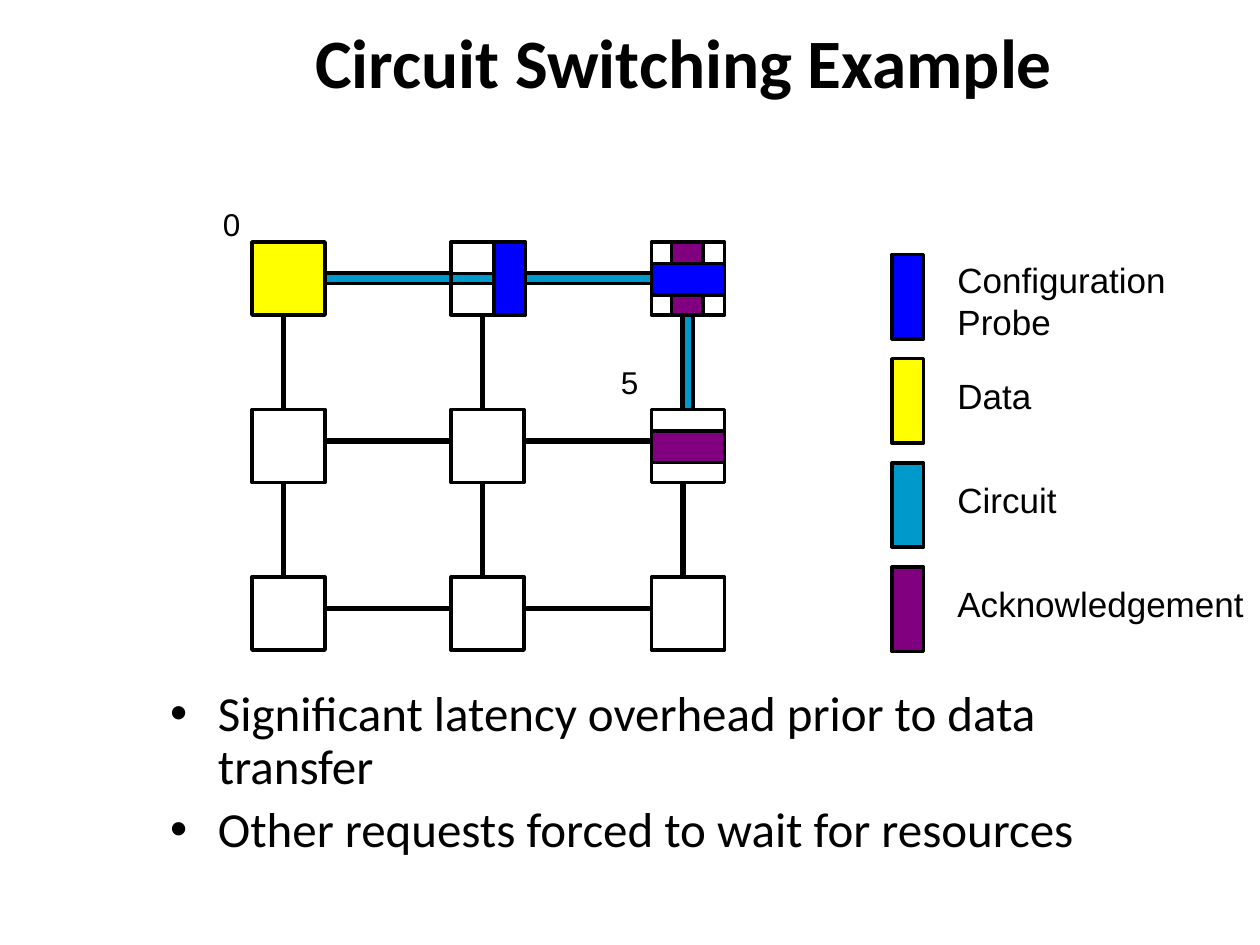
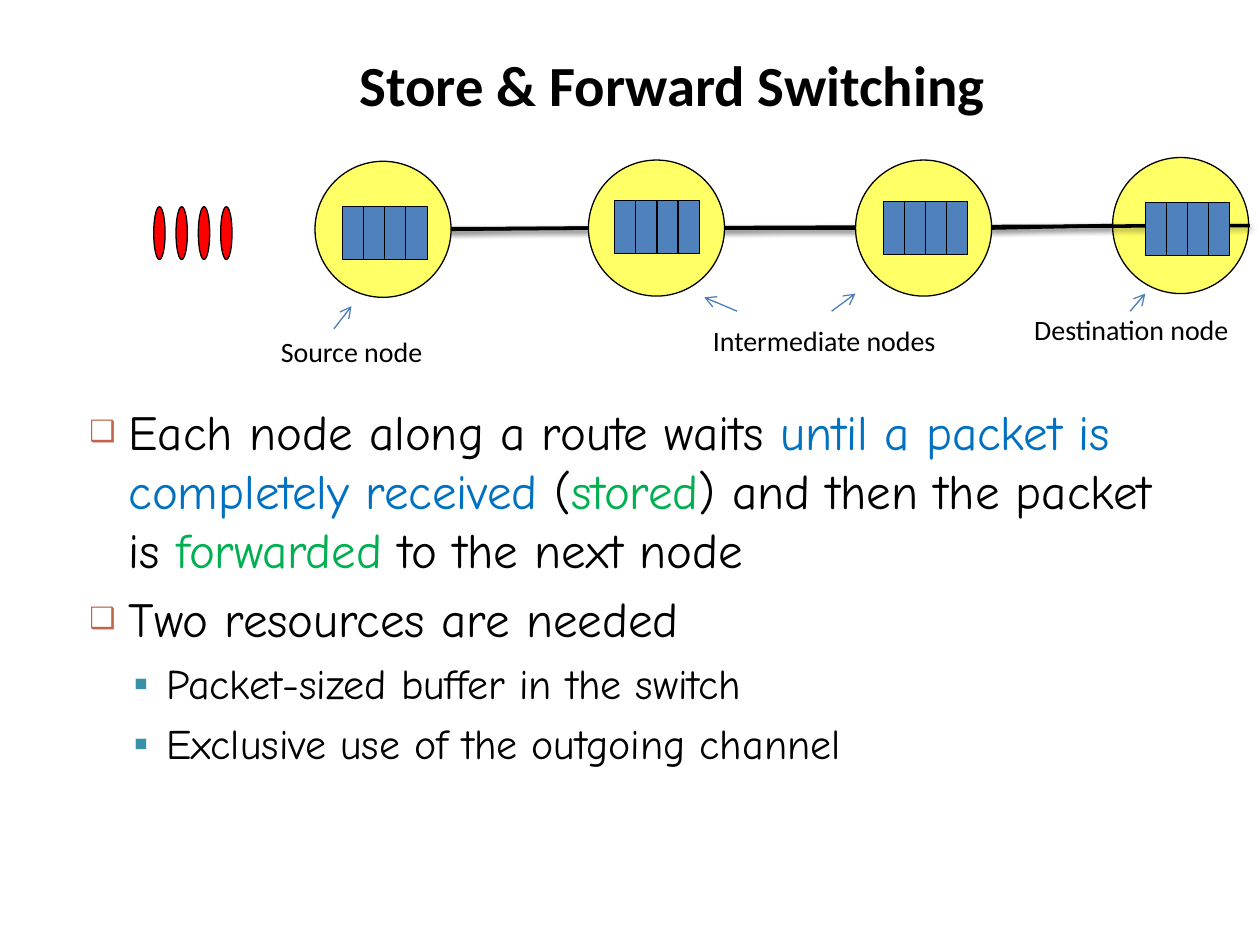
from lxml.etree import SubElement as Sub
from pptx import Presentation
from pptx.dml.color import RGBColor as RGB
from pptx.enum.shapes import MSO_CONNECTOR as Conn, MSO_SHAPE as Kind
from pptx.enum.text import MSO_ANCHOR as Anchor, MSO_AUTO_SIZE as Fit, PP_ALIGN as Align
from pptx.oxml.ns import qn
from pptx.util import Inches, Pt

HUE = {
    "black": "000000", "probe": "0000FF", "data": "FFFF00",
    "path": "0099CC", "ack": "800080", "node": "FFFF66",
    "cell": "4F81BD", "flit": "FF0000", "arrow": "4B7EBC",
    "blue": "0070C0", "green": "00B050", "rust": "C0654C", "teal": "3891A7",
}


def box(shapes, x, y, w, h, fill=None, pt=2, kind=Kind.RECTANGLE):
    shape = shapes.add_shape(kind, Inches(x), Inches(y), Inches(w), Inches(h))
    shape.shadow.inherit = False
    if fill:
        shape.fill.solid()
        shape.fill.fore_color.rgb = RGB.from_string(HUE[fill])
    else:
        shape.fill.background()
    shape.line.color.rgb = RGB.from_string(HUE["black"])
    shape.line.width = Pt(pt)


def link(slide, x1, y1, x2, y2, pt, hue="black", shade=False, tip=False):
    line = slide.shapes.add_connector(
        Conn.STRAIGHT, Inches(x1), Inches(y1), Inches(x2), Inches(y2))
    line.line.color.rgb = RGB.from_string(HUE[hue])
    line.line.width = Pt(pt)
    if tip:
        Sub(line.line._get_or_add_ln(), qn("a:tailEnd"), type="arrow")
    fx = Sub(line._element.spPr, qn("a:effectLst"))
    if shade:
        blur = Sub(fx, qn("a:outerShdw"), blurRad="40000", dist="20000",
                   dir="5400000", rotWithShape="0")
        tone = Sub(blur, qn("a:srgbClr"), val=HUE["black"])
        Sub(tone, qn("a:alpha"), val="38000")


prs = Presentation()
prs.slide_width, prs.slide_height = Inches(10), Inches(7.5)
mesh, store = [prs.slides.add_slide(prs.slide_layouts[1]) for _ in range(2)]

titles = [
    (mesh, "Circuit Switching Example ", 39.6, (1.23, 0.17, 8.52, 0.62)),
    (store, "Store & Forward Switching", 32.4, (1.08, 0.33, 8.51, 0.67)),
]
for slide, text, size, place in titles:
    title = slide.shapes.title
    title.left, title.top, title.width, title.height = map(Inches, place)
    frame = title.text_frame
    frame.text = text
    frame.auto_size = Fit.NONE
    frame.vertical_anchor = Anchor.MIDDLE
    para = frame.paragraphs[0]
    para.alignment = Align.CENTER
    font = para.runs[0].font
    font.name, font.size, font.bold = "Calibri", Pt(size), True
    font.color.rgb = RGB.from_string(HUE["black"])

dot = dict(level=0, left=0.38, hang=0.38, size=28, gap=5.6, rows=0.9,
           mark="•", tint="black", pct=100)
check = dict(level=0, left=0.4, hang=0.31, size=28, gap=6, rows=1,
             mark="❑", tint="rust", pct=60)
brick = dict(level=1, left=0.7, hang=0.26, size=24, gap=5.5, rows=1,
             mark="▪", tint="teal", pct=100)
lists = [
    (mesh, "Calibri", (1.25, 5.42, 8.25, 1.67), [
        (dot, [("Significant latency overhead prior to data transfer", "black")]),
        (dot, [("Other requests forced to wait for resources", "black")]),
    ]),
    (store, "Comic Neue", (0.52, 3.14, 8.78, 3.73), [
        (check, [("Each node along a route waits ", "black"),
                 ("until a packet is completely received ", "blue"),
                 ("(", "black"), ("stored", "green"),
                 (") and then the packet is ", "black"),
                 ("forwarded", "green"), (" to the next node", "black")]),
        (check, [("Two resources are needed", "black")]),
        (brick, [("Packet-sized buffer in the switch", "black")]),
        (brick, [("Exclusive use of the outgoing channel", "black")]),
    ]),
]
for slide, face, place, items in lists:
    body = slide.placeholders[1]
    body.left, body.top, body.width, body.height = map(Inches, place)
    frame = body.text_frame
    frame.auto_size = Fit.NONE
    for i, (style, parts) in enumerate(items):
        para = frame.add_paragraph() if i else frame.paragraphs[0]
        para.level = style["level"]
        para.line_spacing = style["rows"]
        para.space_before = Pt(style["gap"])
        props = para._p.get_or_add_pPr()
        props.set("marL", str(Inches(style["left"])))
        props.set("indent", str(-Inches(style["hang"])))
        Sub(Sub(props, qn("a:buClr")), qn("a:srgbClr"), val=HUE[style["tint"]])
        Sub(props, qn("a:buSzPct"), val=str(style["pct"] * 1000))
        Sub(props, qn("a:buChar"), char=style["mark"])
        for text, hue in parts:
            run = para.add_run()
            run.text = text
            run.font.name, run.font.size = face, Pt(style["size"])
            run.font.color.rgb = RGB.from_string(HUE[hue])

side = 0.58
cols, rows = (2, 3.58, 5.17), (1.92, 3.25, 4.58)
for r, y in enumerate(rows):
    for c, x in enumerate(cols):
        box(mesh.shapes, x, y, side, side, None if r + c else "data")
for y in rows:
    for x, end in zip(cols, cols[1:]):
        link(mesh, x + side, y + 0.25, end, y + 0.25, 3)
for x in cols:
    for y, end in zip(rows, rows[1:]):
        link(mesh, x + 0.25, y + side, x + 0.25, end, 3)

marks = [
    (2.58, 2.17, 1, 0.08, "path"),
    (3.58, 2.17, 1.92, 0.08, "path"),
    (5.42, 2.17, 0.08, 1.08, "path"),
    (5.17, 3.42, side, 0.25, "ack"),
    (5.33, 1.92, 0.25, side, "ack"),
    (3.92, 1.92, 0.25, side, "probe"),
    (5.17, 2.09, side, 0.25, "probe"),
]
for mark in marks:
    box(mesh.shapes, *mark)
for i, hue in enumerate(("probe", "data", "path", "ack")):
    box(mesh.shapes, 7.08, 2.02 + 0.827 * i, 0.25, 0.67, hue)

wide = 1.08
nodes = [(2.5, 1.28), (4.67, 1.27), (6.79, 1.27), (8.83, 1.25)]
mids = [1.82, 1.81, 1.81, 1.79]
box(store.shapes, *nodes[-1], wide, wide, "node", 0.75, Kind.OVAL)
link(store, 2.5, 1.82, 9.92, 1.79, 2, shade=True)
for i in range(3):
    link(store, nodes[i][0] + wide, mids[i], nodes[i + 1][0], mids[i + 1], 2, shade=True)
for node in nodes[:-1]:
    box(store.shapes, *node, wide, wide, "node", 0.75, Kind.OVAL)
for x, y in [(2.72, 1.64), (4.88, 1.59), (7.01, 1.6), (9.09, 1.61)]:
    group = store.shapes.add_group_shape()
    for i in range(4):
        box(group.shapes, x + 0.167 * i, y, 0.17, 0.42, "cell", 0.75)
group = store.shapes.add_group_shape()
for i in range(4):
    box(group.shapes, 1.22 + 0.177 * i, 1.64, 0.09, 0.42, "flit", 0.75, Kind.OVAL)
for ends in [(2.65, 2.61, 2.79, 2.43), (5.85, 2.47, 5.59, 2.36),
             (6.6, 2.47, 6.79, 2.33), (8.97, 2.47, 9.09, 2.33)]:
    link(store, *ends, 0.75, "arrow", tip=True)

labels = [
    (mesh, "Arial", 20, True, [
        ("Configuration Probe", 7.5, 2, 2.25, 0.77),
        ("Data", 7.5, 2.92, 2.5, 0.43),
        ("Circuit", 7.5, 3.75, 1.83, 0.43),
        ("Acknowledgement", 7.5, 4.57, 2.5, 0.43)]),
    (mesh, "Arial", 18, True, [
        ("0", 1.67, 1.58, 0.75, 0.5),
        ("5", 4.83, 2.83, 0.75, 0.5)]),
    (store, "Calibri", 16, False, [
        ("Source node", 2.13, 2.61, 1.35, 0.37),
        ("Intermediate nodes", 5.56, 2.52, 1.97, 0.37),
        ("Destination node", 8.11, 2.43, 1.78, 0.37)]),
]
for slide, face, size, wrap, items in labels:
    for text, *place in items:
        frame = slide.shapes.add_textbox(*map(Inches, place)).text_frame
        frame.word_wrap = wrap
        frame.text = text
        font = frame.paragraphs[0].runs[0].font
        font.name, font.size = face, Pt(size)
        font.color.rgb = RGB.from_string(HUE["black"])

prs.save("out.pptx")
